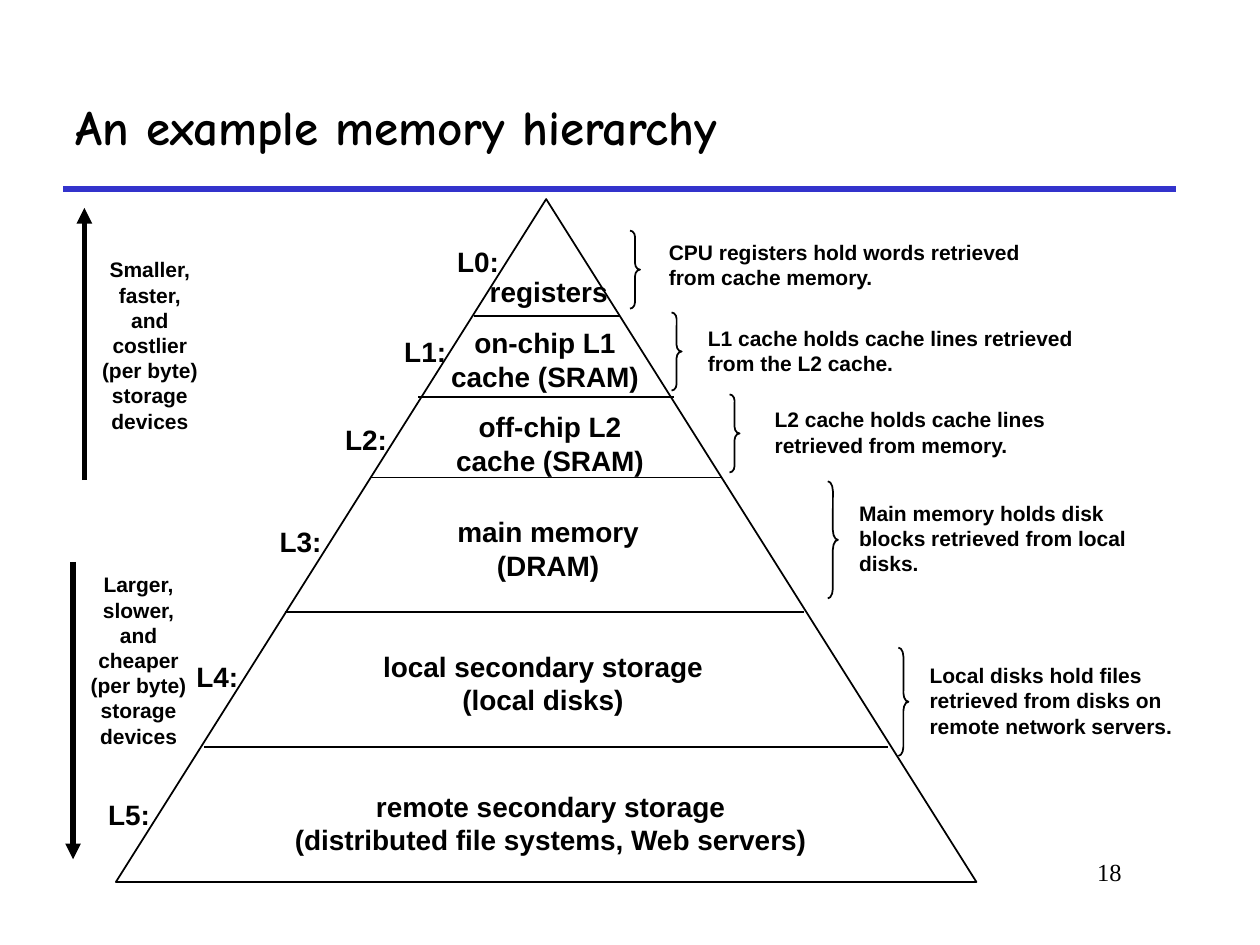
"""Build the memory hierarchy slide on a grid of 100 columns by 75 rows."""
import pptx
import pptx.util
import pptx.dml.color
import pptx.enum.shapes
import pptx.enum.text
import lxml.etree

COLS, ROWS = 100, 75
BLACK = "000000"
SHAPE = pptx.enum.shapes.MSO_SHAPE
ANCHOR = pptx.enum.text.MSO_ANCHOR
ALIGN = pptx.enum.text.PP_ALIGN
FIT = pptx.enum.text.MSO_AUTO_SIZE

HEAD = {"name": "Comic Neue", "size": pptx.util.Pt(28), "bold": True}
LEVEL = {"name": "Arial", "size": pptx.util.Pt(16), "bold": True}
NOTE = {"name": "Arial", "size": pptx.util.Pt(12), "bold": True}
PAGE = {"name": "Times New Roman", "size": pptx.util.Pt(14), "bold": False}

FIXED = {"word_wrap": True, "auto_size": FIT.NONE}
WRAPPED = {"word_wrap": True, "auto_size": FIT.SHAPE_TO_FIT_TEXT}
LOOSE = {"word_wrap": False, "auto_size": FIT.SHAPE_TO_FIT_TEXT}

prs = pptx.Presentation()
prs.slide_width = pptx.util.Inches(10)
prs.slide_height = pptx.util.Inches(7.5)
s = prs.slides.add_slide(prs.slide_layouts[6])
col, row = prs.slide_width / COLS, prs.slide_height / ROWS


def rgb(value):
    return pptx.dml.color.RGBColor.from_string(value)


def text(box, content, font, frame, align=ALIGN.LEFT, anchor=ANCHOR.MIDDLE):
    x, y, w, h = box
    tf = s.shapes.add_textbox(int(x * col), int(y * row), int(w * col), int(h * row)).text_frame
    for key, value in {**frame, "vertical_anchor": anchor}.items():
        setattr(tf, key, value)
    for i, line in enumerate(content.split("\n")):
        p = tf.add_paragraph() if i else tf.paragraphs[0]
        p.alignment = align
        r = p.add_run()
        r.text = line
        for key, value in font.items():
            setattr(r.font, key, value)
        r.font.color.rgb = rgb(BLACK)


sp = s.shapes.add_shape(SHAPE.ISOSCELES_TRIANGLE, int(9.2 * col), int(15.8 * row),
                        int(68.3 * col), int(54.2 * row))
sp.shadow.inherit = False
sp.fill.background()
sp.line.color.rgb = rgb(BLACK)
sp.line.width = pptx.util.Pt(1)

lines = [
    (5, 15, 93.3, 15, "3333CC", 3, False),
    (37.6, 25.1, 49.2, 25.1, BLACK, 1, False),
    (33.2, 31.5, 53.5, 31.5, BLACK, 1, False),
    (29.4, 37.9, 57.3, 37.9, BLACK, 1, False),
    (22.6, 48.6, 63.8, 48.6, BLACK, 1, False),
    (16.2, 59.3, 70.5, 59.3, BLACK, 1, False),
    (6.7, 38.1, 6.7, 16.5, BLACK, 3, True),
    (5.8, 44.6, 5.8, 68.2, BLACK, 3, True),
]
for x1, y1, x2, y2, color, width, arrow in lines:
    cx = s.shapes.add_connector(pptx.enum.shapes.MSO_CONNECTOR.STRAIGHT, int(x1 * col),
                                int(y1 * row), int(x2 * col), int(y2 * row))
    cx.line.color.rgb = rgb(color)
    cx.line.width = pptx.util.Pt(width)
    if arrow:
        ln = cx.line._get_or_add_ln()
        lxml.etree.SubElement(ln, pptx.oxml.ns.qn("a:tailEnd"), type="triangle")
    lxml.etree.SubElement(cx._element.spPr, pptx.oxml.ns.qn("a:effectLst"))

levels = [
    (35.3, 18.9, (37.3, 21.3, 12.5, 3.7), "registers"),
    (31.1, 26, (34.8, 25.3, 16.9, 6.4), "on-chip L1\ncache (SRAM)"),
    (26.4, 33, (35.2, 32, 16.9, 6.4), "off-chip L2\ncache (SRAM)"),
    (21.2, 41.1, (35.3, 40.3, 16.4, 6.4), "main memory\n(DRAM)"),
    (14.6, 51.8, (29.4, 51, 27.4, 6.4), "local secondary storage\n(local disks)"),
    (7.6, 62.8, (22.4, 62.1, 42.6, 6.4),
     "remote secondary storage\n(distributed file systems, Web servers)"),
]
for i, (x, y, box, name) in enumerate(levels):
    text((x, y, 5.3, 3.7), f"L{i}:", LEVEL, LOOSE, ALIGN.CENTER)
    text(box, name, LEVEL, LOOSE, ALIGN.CENTER)

notes = [
    (50, 18.3, 6.2, (52.1, 18.5, 31.9, 5),
     "CPU registers hold words retrieved from cache memory."),
    (53.3, 24.8, 6.2, (55.2, 25.3, 31, 5),
     "L1 cache holds cache lines retrieved from the L2 cache."),
    (57.9, 31.3, 6.2, (60.5, 31.8, 28.7, 5),
     "L2 cache holds cache lines retrieved from memory."),
    (65.7, 38.2, 9.3, (67.2, 39.2, 30.3, 7),
     "Main memory holds disk\nblocks retrieved from local\ndisks."),
    (71.3, 51.4, 8.6, (72.8, 52.1, 22.6, 7),
     "Local disks hold files retrieved from disks on remote network servers."),
]
brace_w = 0.8
for x, y, h, box, note in notes:
    sp = s.shapes.add_shape(SHAPE.RIGHT_BRACE, int(x * col), int(y * row),
                            int(brace_w * col), int(h * row))
    sp.adjustments[0] = h / 12 / brace_w
    sp.shadow.inherit = False
    sp.fill.background()
    sp.line.color.rgb = rgb(BLACK)
    sp.line.width = pptx.util.Pt(1)
    text(box, note, NOTE, WRAPPED)

trends = [
    (7.1, 19.9, "Smaller,\nfaster,\nand\ncostlier"),
    (6.2, 44.9, "Larger,\nslower,\nand\ncheaper"),
]
for x, y, words in trends:
    text((x, y, 9.6, 15), words + "\n(per byte)\nstorage\ndevices", NOTE, LOOSE, ALIGN.CENTER)

text((5, 5, 88.3, 10), "An example memory hierarchy", HEAD, FIXED)
text((75.8, 67.5, 14.2, 5), "18", PAGE, FIXED, ALIGN.RIGHT, ANCHOR.TOP)

prs.save("out.pptx")
